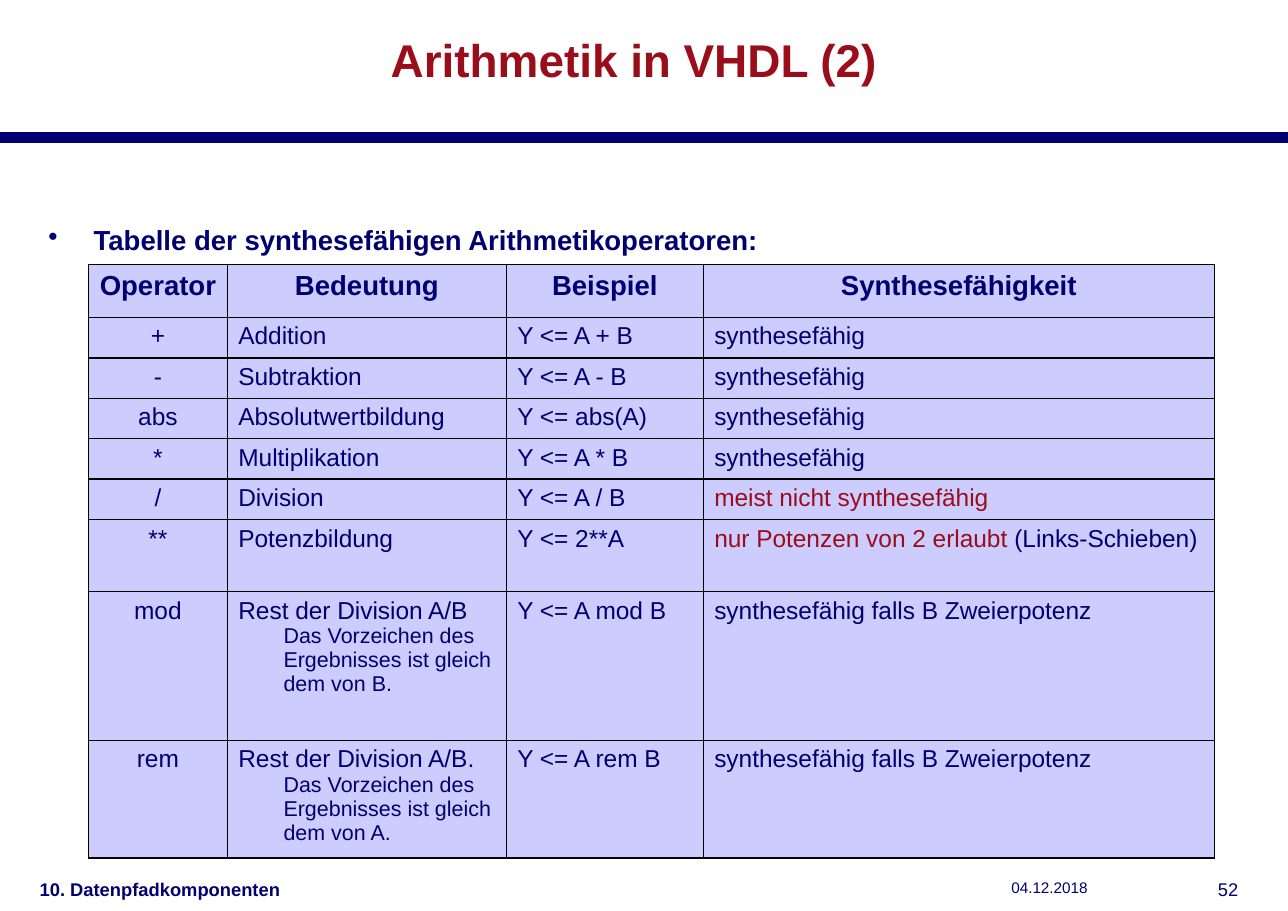
from dataclasses import dataclass
from typing import NamedTuple

from lxml import etree
from pptx import Presentation
from pptx.dml.color import RGBColor
from pptx.enum.shapes import MSO_CONNECTOR
from pptx.enum.text import MSO_ANCHOR, PP_ALIGN
from pptx.oxml.ns import qn
from pptx.util import Pt

LEFT, CENTER, RIGHT = PP_ALIGN.LEFT, PP_ALIGN.CENTER, PP_ALIGN.RIGHT
TOP, MIDDLE = MSO_ANCHOR.TOP, MSO_ANCHOR.MIDDLE
STRAIGHT = MSO_CONNECTOR.STRAIGHT


@dataclass(frozen=True)
class Theme:
    font: str = "Arial"
    navy: str = "000070"
    red: str = "9A0E1B"
    cell: str = "CCCCFF"
    border: str = "000000"
    title: float = 30
    heading: float = 18
    body: float = 16
    note: float = 14
    footer: float = 12
    date: float = 10


THEME = Theme()
PAGE_WIDTH, PAGE_HEIGHT = 841.68, 595.44
HANGING = 29.5
COLUMN_WIDTHS = (90.8, 182.3, 128.7, 334)
HEADERS = ("Operator", "Bedeutung", "Beispiel", "Synthesefähigkeit")
HEADER_HEIGHT = 34.5


class Span(NamedTuple):
    text: str
    size: float = THEME.body
    color: str = THEME.navy


class Style(NamedTuple):
    size: float
    color: str = THEME.navy
    bold: bool = False
    align: PP_ALIGN = LEFT


class Label(NamedTuple):
    text: str
    left: float
    top: float
    width: float
    height: float
    style: Style
    anchor: MSO_ANCHOR = TOP
    bullet: bool = False


class Operation(NamedTuple):
    operator: str
    meaning: str
    example: str
    support: tuple[Span, ...] = (Span("synthesefähig"),)
    note: str = ""
    height: float = 26.35


POWER_OF_TWO = (Span("synthesefähig falls B Zweierpotenz"),)
OPERATIONS = (
    Operation("+", "Addition", "Y <= A + B"),
    Operation("-", "Subtraktion", "Y <= A - B"),
    Operation("abs", "Absolutwertbildung", "Y <= abs(A)"),
    Operation("*", "Multiplikation", "Y <= A * B"),
    Operation("/", "Division", "Y <= A / B",
              (Span("meist nicht synthesefähig", color=THEME.red),)),
    Operation("**", "Potenzbildung", "Y <= 2**A",
              (Span("nur Potenzen von 2 erlaubt", color=THEME.red),
               Span(" (Links-Schieben)")), height=47),
    Operation("mod", "Rest der Division A/B", "Y <= A mod B", POWER_OF_TWO,
              "Das Vorzeichen des Ergebnisses ist gleich dem von B.", 97.3),
    Operation("rem", "Rest der Division A/B.", "Y <= A rem B", POWER_OF_TWO,
              "Das Vorzeichen des Ergebnisses ist gleich dem von A.", 76.8),
)
LABELS = (
    Label("04.12.2018", 653, 570.2, 118.8, 25.2, Style(THEME.date)),
    Label("10. Datenpfadkomponenten", 18, 570.2, 238.3, 25.2,
          Style(THEME.footer, bold=True)),
    Label("52", 783.4, 570.2, 33.8, 25.2, Style(THEME.footer, align=RIGHT)),
    Label("Arithmetik in VHDL (2)", 12.2, 14.4, 804.2, 49,
          Style(THEME.title, THEME.red, True, CENTER), MIDDLE),
    Label("Tabelle der synthesefähigen Arithmetikoperatoren:", 23.8, 142.5,
          804.2, 53.3, Style(THEME.heading, bold=True), bullet=True),
)


def set_hanging(para, bullet: bool = False) -> None:
    properties = para._p.get_or_add_pPr()
    properties.set("marL", str(Pt(HANGING)))
    properties.set("indent", str(-Pt(HANGING)))
    if bullet:
        etree.SubElement(properties, qn("a:buChar"), char="•")


def style_paragraph(para, style: Style) -> None:
    para.alignment = style.align
    para.font.name = THEME.font
    para.font.size = Pt(style.size)
    para.font.bold = style.bold
    para.font.color.rgb = RGBColor.from_string(style.color)


def add_label(page, label: Label) -> None:
    box = page.shapes.add_textbox(
        Pt(label.left), Pt(label.top), Pt(label.width), Pt(label.height))
    frame = box.text_frame
    frame.word_wrap = True
    frame.vertical_anchor = label.anchor
    frame.margin_left = frame.margin_right = Pt(7.9)
    frame.margin_top = frame.margin_bottom = Pt(3.6)
    para = frame.paragraphs[0]
    para.add_run().text = label.text
    if label.bullet:
        set_hanging(para, bullet=True)
    style_paragraph(para, label.style)


def add_rule(page) -> None:
    rule = page.shapes.add_connector(STRAIGHT, Pt(0), Pt(90), Pt(PAGE_WIDTH), Pt(90))
    rule.line.width = Pt(7.1)
    rule.line.color.rgb = RGBColor.from_string(THEME.navy)
    etree.SubElement(rule._element.spPr, qn("a:effectLst"))


def paint_cell(cell) -> None:
    properties = cell._tc.get_or_add_tcPr()
    for side in ("lnL", "lnR", "lnT", "lnB"):
        line = etree.SubElement(properties, qn(f"a:{side}"), w=str(Pt(1)))
        fill = etree.SubElement(line, qn("a:solidFill"))
        etree.SubElement(fill, qn("a:srgbClr"), val=THEME.border)
    cell.fill.solid()
    cell.fill.fore_color.rgb = RGBColor.from_string(THEME.cell)


def fill_cell(cell, spans: tuple[Span, ...], style: Style, note: str = "") -> None:
    paint_cell(cell)
    para = cell.text_frame.paragraphs[0]
    set_hanging(para)
    style_paragraph(para, style)
    for span in spans:
        run = para.add_run()
        run.text = span.text
        if span.color != style.color:
            run.font.color.rgb = RGBColor.from_string(span.color)
    if note:
        para.add_line_break()
        run = para.add_run()
        run.text = note
        run.font.size = Pt(THEME.note)


def add_operator_table(page) -> None:
    heights = (HEADER_HEIGHT, *(operation.height for operation in OPERATIONS))
    table = page.shapes.add_table(
        len(heights), len(COLUMN_WIDTHS), Pt(57.8), Pt(173),
        Pt(sum(COLUMN_WIDTHS)), Pt(sum(heights))).table
    table.first_row = table.horz_banding = False
    for column, width in zip(table.columns, COLUMN_WIDTHS):
        column.width = Pt(width)
    for row, height in zip(table.rows, heights):
        row.height = Pt(height)
    header = Style(THEME.heading, bold=True, align=CENTER)
    for index, text in enumerate(HEADERS):
        fill_cell(table.cell(0, index), (Span(text),), header)
    body = Style(THEME.body)
    for index, operation in enumerate(OPERATIONS, start=1):
        operator, meaning, example, support = table.rows[index].cells
        fill_cell(operator, (Span(operation.operator),), body._replace(align=CENTER))
        fill_cell(meaning, (Span(operation.meaning),), body, operation.note)
        fill_cell(example, (Span(operation.example),), body)
        only_color = operation.support[0].color if len(operation.support) == 1 else body.color
        fill_cell(support, operation.support, body._replace(color=only_color))


def main() -> None:
    deck = Presentation()
    deck.slide_width, deck.slide_height = Pt(PAGE_WIDTH), Pt(PAGE_HEIGHT)
    page = deck.slides.add_slide(deck.slide_layouts[6])
    add_rule(page)
    for label in LABELS:
        add_label(page, label)
    add_operator_table(page)
    deck.save("out.pptx")


if __name__ == "__main__":
    main()
